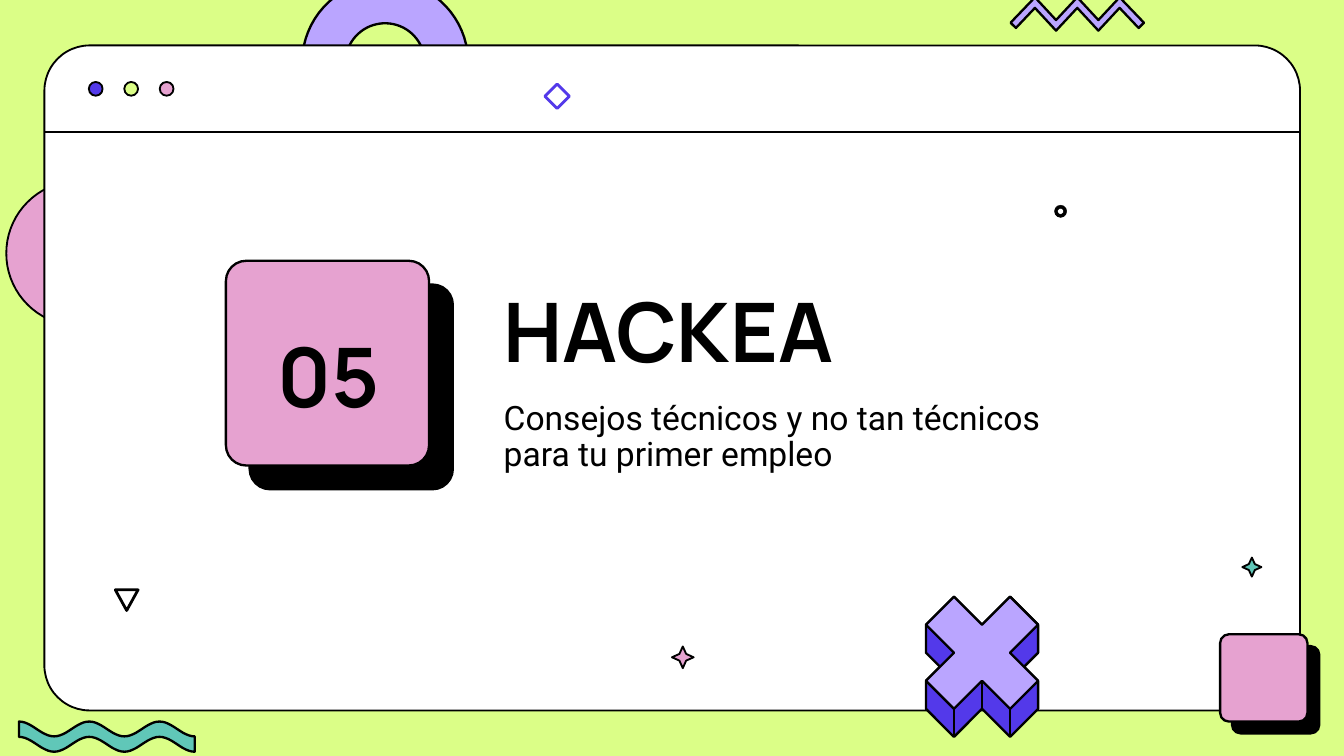
from math import cos, pi, radians, sin

from lxml import etree
from pptx import Presentation
from pptx.dml.color import RGBColor
from pptx.enum.shapes import MSO_CONNECTOR, MSO_SHAPE
from pptx.enum.text import MSO_ANCHOR, PP_ALIGN
from pptx.oxml.ns import qn
from pptx.util import Cm, Pt

ROUNDED = MSO_SHAPE.ROUNDED_RECTANGLE
OVAL = MSO_SHAPE.OVAL
STAR = MSO_SHAPE.STAR_4_POINT
TRIANGLE = MSO_SHAPE.FLOWCHART_MERGE
DIAMOND = MSO_SHAPE.DIAMOND
RING = MSO_SHAPE.DONUT
STRAIGHT = MSO_CONNECTOR.STRAIGHT
TOP, MIDDLE, BOTTOM = MSO_ANCHOR.TOP, MSO_ANCHOR.MIDDLE, MSO_ANCHOR.BOTTOM
LEFT, CENTER = PP_ALIGN.LEFT, PP_ALIGN.CENTER

BLACK, WHITE, LIME = "000000", "FFFFFF", "DBFE87"
PINK, LILAC, VIOLET, TEAL = "E6A2D0", "BAA5FF", "5339EA", "60C7B8"


def color(hex_code):
    return RGBColor.from_string(hex_code)


def arc(x, y, radius, start, end, steps=36):
    """Points on a circle from start to end, in degrees clockwise from the right."""
    angles = [radians(start + (end - start) * i / steps) for i in range(steps + 1)]
    return [(x + radius * cos(a), y + radius * sin(a)) for a in angles]


class Painter:
    """Draws styled elements on one page; all positions are in centimetres."""

    def __init__(self, page, background):
        self.shapes = page.shapes
        page.background.fill.solid()
        page.background.fill.fore_color.rgb = color(background)

    def paint(self, shape, fill, line, width):
        shape.shadow.inherit = False
        if fill:
            shape.fill.solid()
            shape.fill.fore_color.rgb = color(fill)
        else:
            shape.fill.background()
        shape.line.color.rgb = color(line)
        shape.line.width = Pt(width)
        return shape

    def preset(self, kind, box, fill, line=BLACK, width=1, adjust=None):
        shape = self.shapes.add_shape(kind, *map(Cm, box))
        if adjust is not None:
            shape.adjustments[0] = adjust
        return self.paint(shape, fill, line, width)

    def outline(self, points, fill, width=1.25):
        start, *rest = [(Cm(x), Cm(y)) for x, y in points]
        builder = self.shapes.build_freeform(*start, scale=1.0)
        builder.add_line_segments(rest, close=True)
        return self.paint(builder.convert_to_shape(), fill, BLACK, width)

    def line(self, start, end, width=1):
        link = self.shapes.add_connector(STRAIGHT, *map(Cm, (*start, *end)))
        link.line.color.rgb = color(BLACK)
        link.line.width = Pt(width)
        etree.SubElement(link._element.spPr, qn("a:effectLst"))

    def raised_card(self, box, distance):
        """Pink rounded card with a hard black shadow to the lower right."""
        card = self.preset(ROUNDED, box, PINK, width=1.25, adjust=0.1)
        effects = card._element.spPr.find(qn("a:effectLst"))
        shadow = etree.SubElement(effects, qn("a:outerShdw"), blurRad="0",
                                  dist=str(Pt(distance)), dir="2700000",
                                  algn="bl", rotWithShape="0")
        etree.SubElement(shadow, qn("a:srgbClr"), val=BLACK)

    def text(self, box, words, font, size, bold=False, anchor=TOP, align=LEFT, before=0):
        frame = self.shapes.add_textbox(*map(Cm, box)).text_frame
        frame.word_wrap = True
        frame.vertical_anchor = anchor
        frame.margin_left = frame.margin_right = Cm(0.25)
        frame.margin_top = frame.margin_bottom = Cm(0.25)
        para = frame.paragraphs[0]
        para.alignment = align
        para.line_spacing = 0.9
        para.space_before = Pt(before)
        span = para.add_run()
        span.text = words
        span.font.name = font
        span.font.size = Pt(size)
        span.font.bold = bold
        span.font.color.rgb = color(BLACK)


def draw_window(painter):
    x, y = 7.28, 1.19
    arch = (arc(x, y, 1.57, 177, 357)
            + arc(*arc(x, y, 1.16, 357, 357, 1)[0], 0.42, -3, 177)
            + arc(x, y, 0.75, 357, 177)
            + arc(*arc(x, y, 1.16, 177, 177, 1)[0], 0.42, -3, 177))
    painter.outline(arch, LILAC)
    painter.outline(arc(1.49, 4.79, 1.37, 90, 270), PINK, 1)
    painter.preset(ROUNDED, (0.84, 0.86, 23.73, 12.57), WHITE, adjust=0.068)
    painter.line((0.84, 2.5), (24.57, 2.5))
    for i, fill in enumerate((VIOLET, LIME, PINK)):
        painter.preset(OVAL, (1.68 + 0.67 * i, 1.55, 0.26, 0.26), fill)


def draw_small_marks(painter):
    painter.preset(STAR, (12.7, 12.22, 0.41, 0.41), PINK, adjust=0.22)
    painter.preset(STAR, (23.48, 10.54, 0.36, 0.36), TEAL, adjust=0.22)
    painter.preset(TRIANGLE, (2.18, 11.15, 0.43, 0.39), None, width=1.5)
    painter.preset(DIAMOND, (10.3, 1.59, 0.46, 0.46), None, VIOLET, 1.5)
    painter.preset(RING, (19.93, 3.88, 0.23, 0.23), BLACK, width=0.25, adjust=0.25)


def draw_block_cross(painter):
    def place(column, row):
        return 17.5 + 0.53 * column, 11.28 + 0.53 * row

    sides = [(3, 0), (4, 1), (4, 2), (3.5, 2.5), (4, 3), (4, 4), (3, 5), (2, 4),
             (1, 5), (0, 4), (0, 3), (0.5, 2.5), (0, 2), (0, 1), (1, 0), (2, 1)]
    face = [(3, 0), (4, 1), (3, 2), (4, 3), (3, 4), (2, 3),
            (1, 4), (0, 3), (1, 2), (0, 1), (1, 0), (2, 1)]
    for corners, fill in ((sides, VIOLET), (face, LILAC)):
        painter.outline([place(*corner) for corner in corners], fill)
    for column, row in ((1, 4), (2, 3), (3, 4)):
        painter.line(place(column, row), place(column, row + 1), 1.25)


def draw_ribbons(painter):
    steps = 60
    wave = [(0.36 + 3.32 * i / steps, 13.78 - 0.14 * cos(5 * pi * i / steps))
            for i in range(steps + 1)]
    painter.outline(wave + [(x, y + 0.29) for x, y in reversed(wave)], TEAL)

    ridge = [(19.56 + 0.4 * i, 0.38 if i % 2 else -0.05) for i in range(5)]
    lower = [(x, y + 0.2) for x, y in reversed(ridge)]
    painter.outline([(19.1, 0.43), *ridge, (21.62, 0.43), (21.52, 0.53),
                     *lower, (19.2, 0.53)], LILAC)


def main():
    deck = Presentation()
    deck.slide_width, deck.slide_height = Cm(25.4), Cm(14.29)
    painter = Painter(deck.slides.add_slide(deck.slide_layouts[6]), LIME)

    draw_window(painter)
    painter.raised_card((4.27, 4.93, 3.84, 3.87), 18)
    painter.text((9.27, 3.76, 11, 3.68), "HACKEA", "Manrope", 44, True, BOTTOM)
    painter.text((9.27, 7.34, 11, 1.19),
                 "Consejos técnicos y no tan técnicos para tu primer empleo",
                 "Roboto", 18, before=7.5)
    painter.text((4.29, 6.2, 3.84, 2.01), "05", "Manrope", 44, True, MIDDLE, CENTER, 7.5)
    draw_small_marks(painter)
    draw_block_cross(painter)
    painter.raised_card((23.06, 11.99, 1.65, 1.65), 9)
    draw_ribbons(painter)
    deck.save("out.pptx")


if __name__ == "__main__":
    main()
